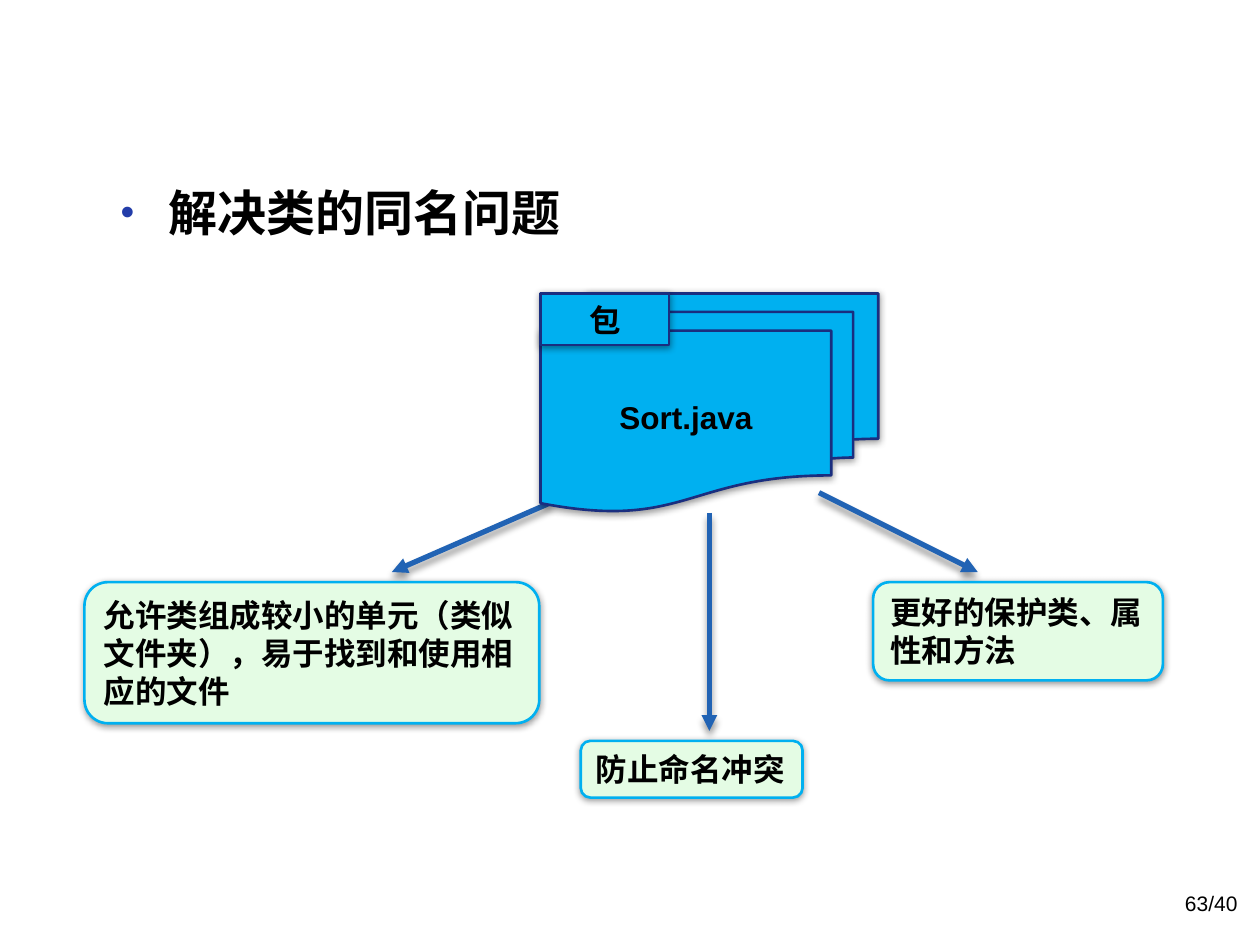
from lxml import etree
from pptx import Presentation
from pptx.dml.color import RGBColor
from pptx.enum.shapes import MSO_CONNECTOR, MSO_SHAPE
from pptx.enum.text import MSO_ANCHOR, PP_ALIGN
from pptx.oxml.ns import qn
from pptx.util import Inches, Pt

ROUNDED = MSO_SHAPE.ROUNDED_RECTANGLE
DOCUMENTS = MSO_SHAPE.FLOWCHART_MULTIDOCUMENT
RECTANGLE = MSO_SHAPE.RECTANGLE
STRAIGHT = MSO_CONNECTOR.STRAIGHT
MIDDLE, TOP = MSO_ANCHOR.MIDDLE, MSO_ANCHOR.TOP
LEFT, CENTER, RIGHT = PP_ALIGN.LEFT, PP_ALIGN.CENTER, PP_ALIGN.RIGHT

# Grid of 100 columns by 75 rows, with square cells
deck = Presentation()
deck.slide_width, deck.slide_height = Inches(10), Inches(7.5)
CELL = deck.slide_width // 100
page = deck.slides.add_slide(deck.slide_layouts[6])

color = RGBColor.from_string
LABEL = {"name": "Arial", "size": Pt(18), "bold": True}
HEADING = {**LABEL, "size": Pt(28)}
NUMBER = {"name": "Arial", "size": Pt(12), "bold": False}


def finish(item, line_color, width, distance):
    """Set the outline and a soft shadow falling straight down."""
    item.line.color.rgb = color(line_color)
    item.line.width = Pt(width)
    effects = etree.SubElement(item._element.spPr, qn("a:effectLst"))
    shadow = etree.SubElement(effects, qn("a:outerShdw"), blurRad=str(Pt(4)),
                              dist=str(Pt(distance)), dir="5400000", rotWithShape="0")
    black = etree.SubElement(shadow, qn("a:srgbClr"), val="000000")
    etree.SubElement(black, qn("a:alpha"), val="40000")


def write(box, lines, style, align, anchor, hanging=0, bullet=None):
    """Write one paragraph a line, with an optional hanging indent and bullet."""
    frame = box.text_frame
    frame.word_wrap = True
    frame.vertical_anchor = anchor
    for number, line in enumerate(lines):
        para = frame.add_paragraph() if number else frame.paragraphs[0]
        para.alignment = align
        properties = para._p.get_or_add_pPr()
        properties.set("marL", str(int(hanging * CELL)))
        properties.set("indent", str(int(-hanging * CELL)))
        if bullet:
            tint = etree.SubElement(properties, qn("a:buClr"))
            etree.SubElement(tint, qn("a:srgbClr"), val="233DA9")
            etree.SubElement(properties, qn("a:buSzPct"), val="80000")
            etree.SubElement(properties, qn("a:buFont"), typeface="Arial")
            etree.SubElement(properties, qn("a:buChar"), char=bullet)
        span = para.add_run()
        span.text = line
        for name, value in style.items():
            setattr(span.font, name, value)
        span.font.color.rgb = color("000000")


# Heading
heading = page.shapes.add_textbox(*(int(n * CELL) for n in (8.6, 14, 83.6, 54.8)))
write(heading, ["解决类的同名问题"], HEADING, LEFT, TOP, hanging=3.8, bullet="•")

# Arrows from the package to its benefits
for ends in [(43.7, 39.9, 31.1, 45.4), (56.3, 40.7, 56.3, 58), (65, 39.1, 77.6, 45.4)]:
    arrow = page.shapes.add_connector(STRAIGHT, *(int(n * CELL) for n in ends))
    finish(arrow, "2163B4", 3, 3)
    etree.SubElement(arrow.line._get_or_add_ln(), qn("a:tailEnd"), type="triangle")

# Benefits, then the package with its tab
benefit = (ROUNDED, "E4FCE4", "00B0F0", LEFT, 3.1)
package = ("00B0F0", "1A2E7F", CENTER, 0)
boxes = [
    ((6.7, 46.2, 36.1, 11.2), benefit,
     ["允许类组成较小的单元（类似", "文件夹），易于找到和使用相", "应的文件"]),
    ((46.1, 58.8, 17.6, 4.5), benefit, ["防止命名冲突"]),
    ((69.3, 46.2, 23, 7.8), benefit, ["更好的保护类、属", "性和方法"]),
    ((42.9, 23.3, 26.8, 17.3), (DOCUMENTS, *package), ["Sort.java"]),
    ((42.9, 23.3, 10.2, 4.1), (RECTANGLE, *package), ["包"]),
]
for place, (kind, fill, edge, align, hanging), lines in boxes:
    box = page.shapes.add_shape(kind, *(int(n * CELL) for n in place))
    box.fill.solid()
    box.fill.fore_color.rgb = color(fill)
    finish(box, edge, 1.5, 1)
    write(box, lines, LABEL, align, MIDDLE, hanging)

# Page number
footer = page.shapes.add_textbox(*(int(n * CELL) for n in (75.9, 70.2, 23.3, 4)))
write(footer, ["63/40"], NUMBER, RIGHT, TOP)

deck.save("out.pptx")
